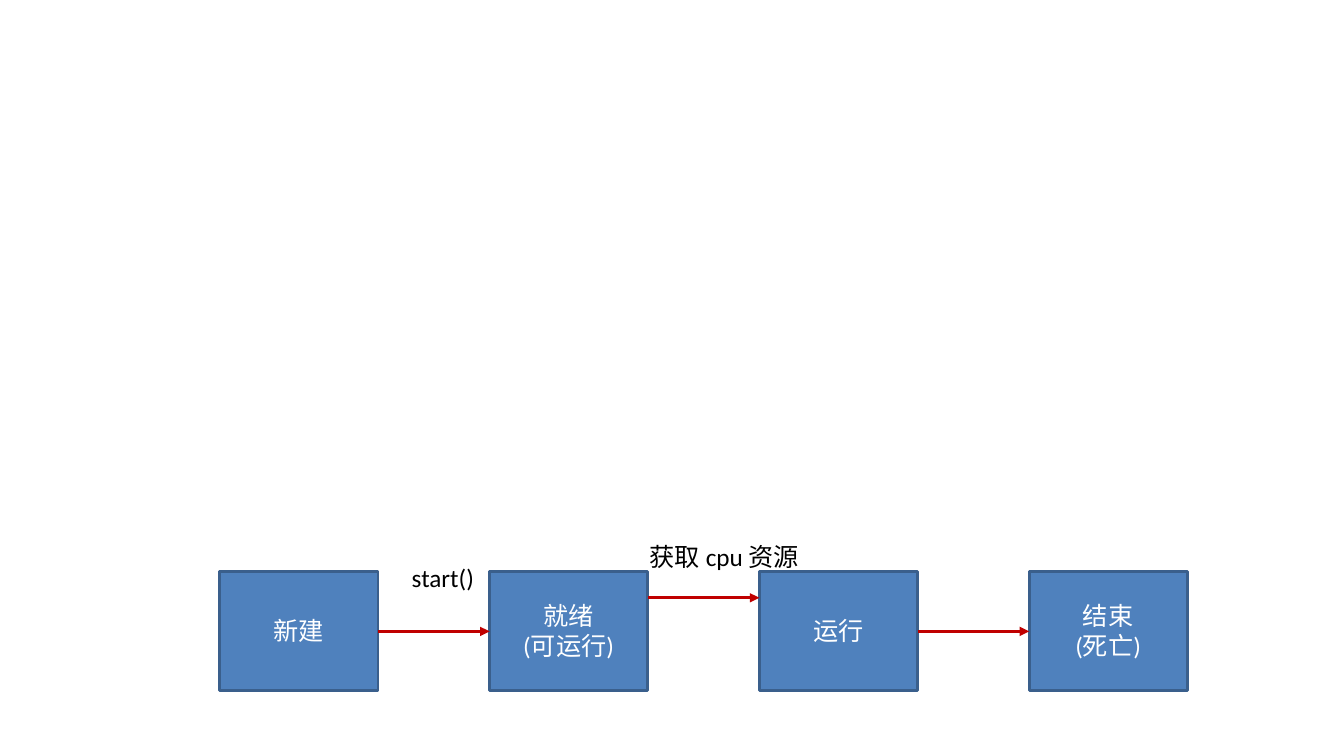
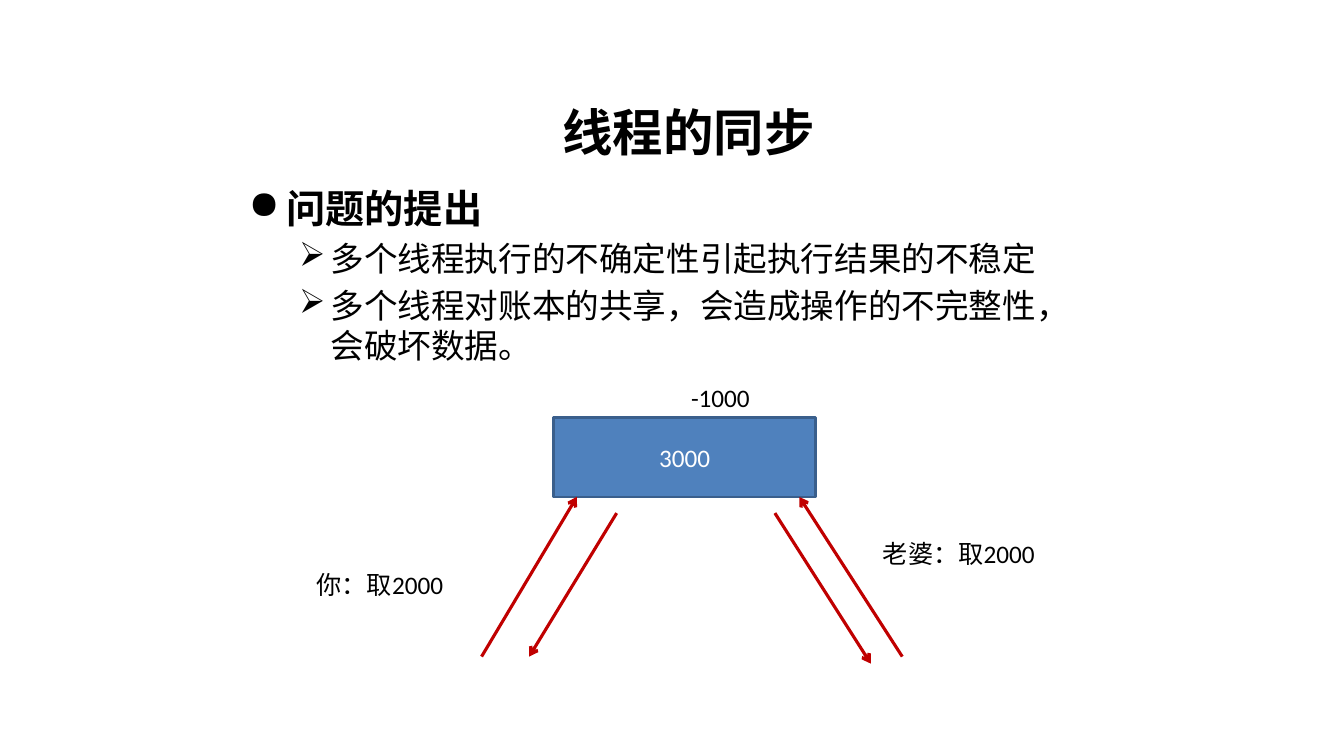
from lxml import etree
from pptx import Presentation
from pptx.dml.color import RGBColor
from pptx.enum.shapes import MSO_CONNECTOR, MSO_SHAPE
from pptx.enum.text import MSO_ANCHOR, MSO_AUTO_SIZE, PP_ALIGN
from pptx.oxml.ns import qn
from pptx.util import Pt

CENTER = PP_ALIGN.CENTER
LEFT = PP_ALIGN.LEFT
MIDDLE = MSO_ANCHOR.MIDDLE
RECTANGLE = MSO_SHAPE.RECTANGLE
STRAIGHT = MSO_CONNECTOR.STRAIGHT
FIT_SHAPE = MSO_AUTO_SIZE.SHAPE_TO_FIT_TEXT
NO_FIT = MSO_AUTO_SIZE.NONE

COLORS = {name: RGBColor.from_string(value) for name, value in {
    "box": "4F81BD",
    "border": "3A5F8C",
    "arrow": "C00000",
    "text": "000000",
    "box_text": "FFFFFF",
}.items()}
DIAGRAM_FONT = "Calibri"
HEADING_FONT = "Times New Roman"


def add_label(slide, text, left, top, width, height, boxed=False):
    if boxed:
        label = slide.shapes.add_shape(RECTANGLE, Pt(left), Pt(top), Pt(width), Pt(height))
        label.shadow.inherit = False
        label.fill.solid()
        label.fill.fore_color.rgb = COLORS["box"]
        label.line.color.rgb = COLORS["border"]
        label.line.width = Pt(2)
        label.text_frame.vertical_anchor = MIDDLE
    else:
        label = slide.shapes.add_textbox(Pt(left), Pt(top), Pt(width), Pt(height))
        label.text_frame.auto_size = FIT_SHAPE
    label.text_frame.word_wrap = True
    label.text_frame.text = text
    for paragraph in label.text_frame.paragraphs:
        paragraph.alignment = CENTER if boxed else LEFT
        paragraph.font.name = DIAGRAM_FONT
        paragraph.font.size = Pt(18)
        paragraph.font.color.rgb = COLORS["box_text" if boxed else "text"]


def add_arrow(slide, x1, y1, x2, y2, head):
    arrow = slide.shapes.add_connector(STRAIGHT, Pt(x1), Pt(y1), Pt(x2), Pt(y2))
    arrow.line.color.rgb = COLORS["arrow"]
    arrow.line.width = Pt(2.25)
    etree.SubElement(arrow.line._get_or_add_ln(), qn("a:tailEnd"), type=head)
    etree.SubElement(arrow._element.spPr, qn("a:effectLst"))


prs = Presentation()
prs.slide_width, prs.slide_height = Pt(960), Pt(540)
TITLE_ONLY, BLANK = prs.slide_layouts[5], prs.slide_layouts[6]

states_slide = prs.slides.add_slide(BLANK)
STATE_LEFT, STATE_TOP, STATE_WIDTH, STATE_HEIGHT, STATE_STEP = 157, 408, 113, 85, 192.7
states = ["新建", "就绪\n(可运行)", "运行", "结束\n(死亡)"]
transition_heights = [451, 427, 451]
for i, state in enumerate(states):
    add_label(states_slide, state, STATE_LEFT + i * STATE_STEP, STATE_TOP,
              STATE_WIDTH, STATE_HEIGHT, boxed=True)
for i, y in enumerate(transition_heights):
    start = STATE_LEFT + i * STATE_STEP + STATE_WIDTH
    end = STATE_LEFT + (i + 1) * STATE_STEP
    add_arrow(states_slide, start, y, end, y, "triangle")
add_label(states_slide, "start()", 287, 398, 91, 29)
add_label(states_slide, "获取 cpu 资源", 457, 383, 140, 29)

sync_slide = prs.slides.add_slide(TITLE_ONLY)
title = sync_slide.shapes.title
title.left, title.top, title.width, title.height = Pt(294.5), Pt(60.5), Pt(394.5), Pt(67)
title.text_frame.text = "线程的同步"
title.text_frame.vertical_anchor = MIDDLE
title.text_frame.auto_size = NO_FIT
heading = title.text_frame.paragraphs[0]
heading.alignment = CENTER
heading.font.name = HEADING_FONT
heading.font.size = Pt(36)
heading.font.bold = True
heading.font.color.rgb = COLORS["text"]

problem = sync_slide.shapes.add_textbox(Pt(170.5), Pt(128), Pt(618.5), Pt(158.5)).text_frame
problem.word_wrap = True
problem.text = "\n".join([
    "问题的提出",
    "多个线程执行的不确定性引起执行结果的不稳定",
    "多个线程对账本的共享，会造成操作的不完整性，会破坏数据。",
])
for i, paragraph in enumerate(problem.paragraphs):
    level = min(i, 1)
    bullet, size, margin, hanging = [("●", 28, 27, 27), ("➢", 24, 58.5, 22.5)][level]
    paragraph.level = level
    paragraph.space_before = Pt(size * 0.2)
    paragraph.font.name = HEADING_FONT
    paragraph.font.size = Pt(size)
    paragraph.font.bold = level == 0
    paragraph.font.color.rgb = COLORS["text"]
    properties = paragraph._p.get_or_add_pPr()
    properties.set("marL", str(Pt(margin)))
    properties.set("indent", str(-Pt(hanging)))
    bullet_mark = etree.Element(qn("a:buChar"), char=bullet)
    properties.find(qn("a:spcBef")).addnext(bullet_mark)

add_label(sync_slide, "3000", 395.5, 298, 187, 57, boxed=True)
for x1, y1, x2, y2 in [
    (344, 469, 412, 355),
    (644.5, 469, 571, 355),
    (440.5, 366.5, 378, 469),
    (553.5, 366.5, 622, 474),
]:
    add_arrow(sync_slide, x1, y1, x2, y2, "arrow")
for text, left, top, width in [
    ("你：取2000", 219, 403, 124.5),
    ("老婆：取2000", 623.5, 381, 175.5),
    ("-1000", 486.5, 269.5, 65.5),
]:
    add_label(sync_slide, text, left, top, width, 29)

prs.save("out.pptx")
